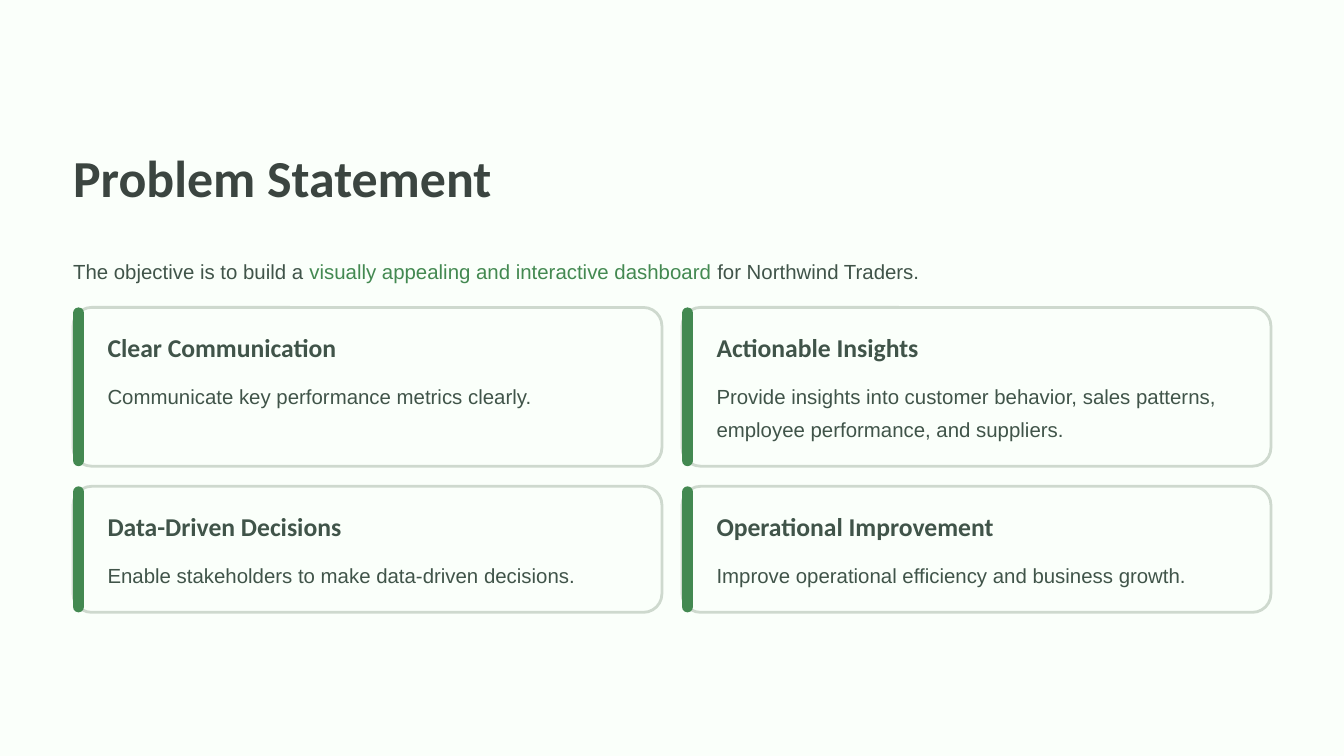
from pptx import Presentation
from pptx.dml.color import RGBColor
from pptx.enum import shapes, text
from pptx.util import Inches, Pt

BACKGROUND = RGBColor(0xFA, 0xFF, 0xFA)
TITLE_INK = RGBColor(0x3B, 0x45, 0x40)
INK = RGBColor(0x40, 0x54, 0x49)
GREEN = RGBColor(0x43, 0x89, 0x51)
BORDER = RGBColor(0xCE, 0xD9, 0xCE)

WIDTH, HEIGHT = 16, 9
MARGIN = 0.87
CONTENT_WIDTH = WIDTH - 2 * MARGIN
GAP = 0.24
CARD_WIDTH = (CONTENT_WIDTH - GAP) / 2
CARDS_TOP = 3.66
ACCENT_WIDTH = 0.13
CORNER_RADIUS = 0.22
INDENT = 0.41
TEXT_WIDTH = 6.31

# Each row: card height, then (heading, description) per column
CARD_ROWS = [
    (1.89, [
        ("Clear Communication", "Communicate key performance metrics clearly."),
        ("Actionable Insights", "Provide insights into customer behavior, sales patterns, "
                                "employee performance, and suppliers."),
    ]),
    (1.5, [
        ("Data-Driven Decisions", "Enable stakeholders to make data-driven decisions."),
        ("Operational Improvement", "Improve operational efficiency and business growth."),
    ]),
]


def inches(*lengths):
    return [Inches(length) for length in lengths]


def write(holder, parts, font, size, spacing, bold=False):
    """Fill a text holder with one paragraph of (words, colour) parts."""
    frame = holder.text_frame
    frame.word_wrap = True
    frame.auto_size = text.MSO_AUTO_SIZE.NONE
    frame.vertical_anchor = text.MSO_ANCHOR.TOP
    frame.margin_left = frame.margin_right = frame.margin_top = frame.margin_bottom = 0
    paragraph = frame.paragraphs[0]
    paragraph.alignment = text.PP_ALIGN.LEFT
    paragraph.line_spacing = Pt(spacing)
    for words, colour in parts:
        run = paragraph.add_run()
        run.text = words
        run.font.name, run.font.size, run.font.bold = font, Pt(size), bold
        run.font.color.rgb = colour


def add_title(slide, words):
    title = slide.shapes.title
    title.left, title.top, title.width, title.height = inches(MARGIN, 1.71, 6.2, 0.78)
    write(title, [(words, TITLE_INK)], "Calibri", 44.5, 55.5, bold=True)


def add_heading(slide, words, left, top):
    box = slide.shapes.add_textbox(*inches(left, top, TEXT_WIDTH, 0.39))
    write(box, [(words, INK)], "Calibri", 22, 27.5, bold=True)


def add_body(slide, parts, left, top, width, height=0.4):
    box = slide.shapes.add_textbox(*inches(left, top, width, height))
    write(box, parts, "Arial", 17.5, 28.5)


def add_rounded(slide, left, top, width, height, radius, fill, border=None):
    box = slide.shapes.add_shape(shapes.MSO_SHAPE.ROUNDED_RECTANGLE,
                                 *inches(left, top, width, height))
    box.adjustments[0] = radius / min(width, height)
    box.shadow.inherit = False
    box.fill.solid()
    box.fill.fore_color.rgb = fill
    if border is None:
        box.line.fill.background()
    else:
        box.line.color.rgb = border
        box.line.width = Pt(2.4)


def add_card(slide, left, top, height, heading, description):
    add_rounded(slide, left, top, CARD_WIDTH, height, CORNER_RADIUS, BACKGROUND, BORDER)
    add_rounded(slide, left, top, ACCENT_WIDTH, height, ACCENT_WIDTH / 2, GREEN)
    add_heading(slide, heading, left + INDENT, top + 0.28)
    add_body(slide, [(description, INK)], left + INDENT, top + 0.81,
             TEXT_WIDTH, height - 1.1)


def main():
    deck = Presentation()
    deck.slide_width, deck.slide_height = inches(WIDTH, HEIGHT)
    slide = deck.slides.add_slide(deck.slide_layouts.get_by_name("Title Only"))
    slide.background.fill.solid()
    slide.background.fill.fore_color.rgb = BACKGROUND

    add_title(slide, "Problem Statement")
    objective = [("The objective is to build a ", INK),
                 ("visually appealing and interactive dashboard", GREEN),
                 (" for Northwind Traders.", INK)]
    add_body(slide, objective, MARGIN, 2.98, CONTENT_WIDTH)

    top = CARDS_TOP
    for height, cards in CARD_ROWS:
        for column, (heading, description) in enumerate(cards):
            left = MARGIN + column * (CARD_WIDTH + GAP)
            add_card(slide, left, top, height, heading, description)
        top += height + GAP

    deck.save("out.pptx")


if __name__ == "__main__":
    main()
